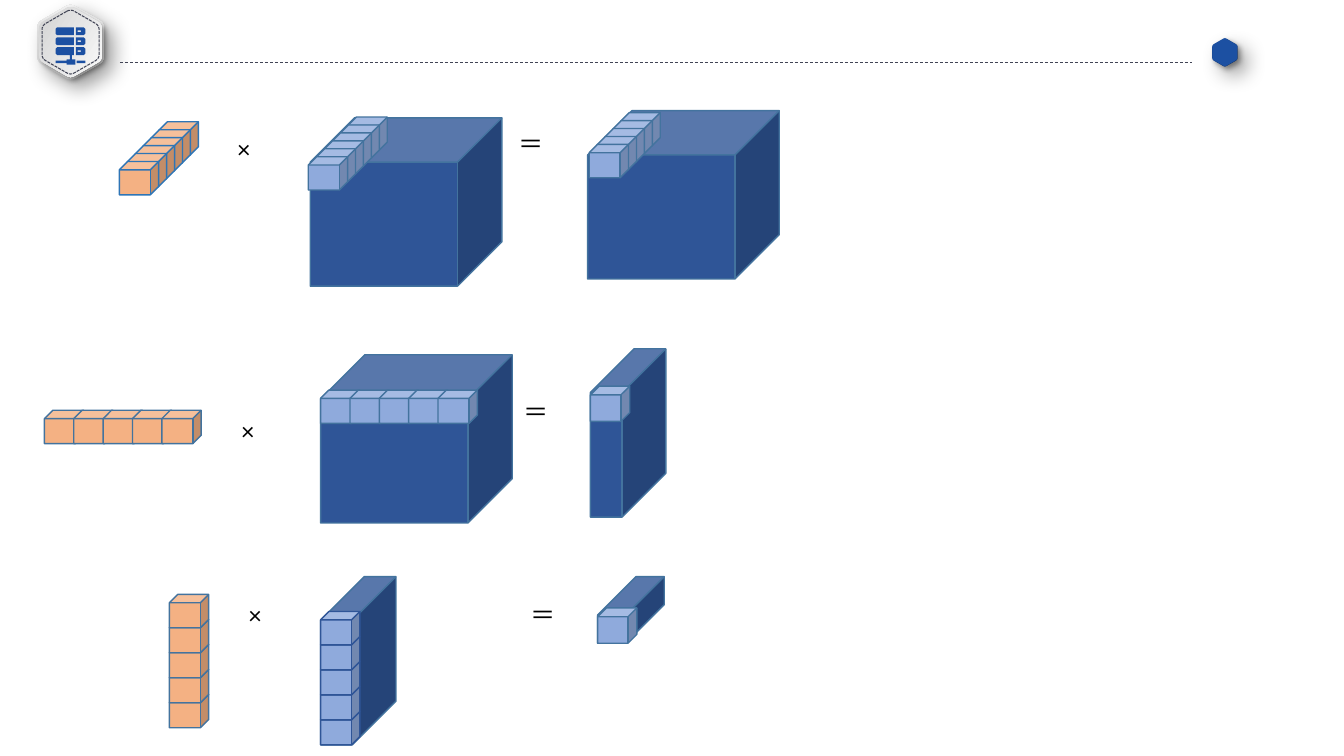
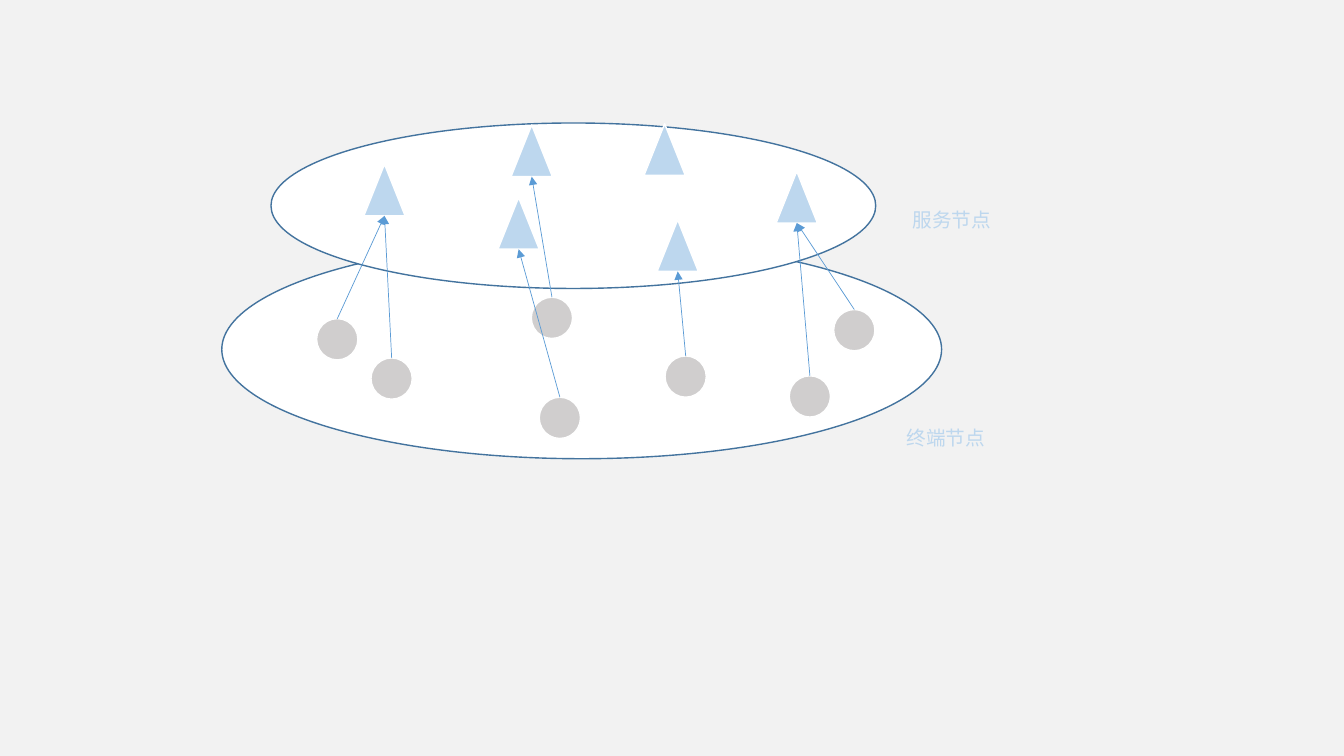
import math

import pptx
import pptx.dml.color
import pptx.enum.dml
import pptx.enum.shapes
import pptx.oxml
import pptx.util
from pptx.oxml.ns import qn

Cm = pptx.util.Cm
Pt = pptx.util.Pt
SHAPE = pptx.enum.shapes.MSO_SHAPE
DASH = pptx.enum.dml.MSO_LINE
A_NS = "http://schemas.openxmlformats.org/drawingml/2006/main"

FONT = "Calibri"
WHITE, BLACK, PALE_GREY = "FFFFFF", "000000", "F2F2F2"
NAVY, EDGE, ORANGE_EDGE = "2F5597", "43739E", "2E75B6"
CELL, ORANGE, BRAND = "8FAADC", "F4B183", "1C50A2"
SKY, ARROW, NODE, DOTS = "BDD7EE", "5B9BD5", "D0CECE", "414455"
METAL = ("D3D3D3", "F9F9F9")


def rgb(value):
    return pptx.dml.color.RGBColor.from_string(value)


def hexagon_points(x, y, half_width, cut=0.13):
    """Outline of a pointy-topped hexagon with rounded corners."""
    radius = half_width / math.cos(math.pi / 6)
    corners = [(x + radius * math.sin(i * math.pi / 3),
                y - radius * math.cos(i * math.pi / 3)) for i in range(6)]
    points = []
    for i, corner in enumerate(corners):
        before, after = corners[i - 1], corners[(i + 1) % 6]
        for t in (0, 0.25, 0.5, 0.75, 1):
            a, b = cut * (1 - t) ** 2, cut * t ** 2
            points.append(tuple(c + a * (p - c) + b * (n - c)
                                for c, p, n in zip(corner, before, after)))
    return points


def box_points(x1, y1, x2, y2, left_cut=0, right_cut=0):
    return [(x1 + left_cut, y1), (x2 - right_cut, y1), (x2, y1 + right_cut),
            (x2, y2 - right_cut), (x2 - right_cut, y2), (x1 + left_cut, y2),
            (x1, y2 - left_cut), (x1, y1 + left_cut)]


class Deck:
    """Holds the style and the slide being drawn; lengths are centimetres."""

    def __init__(self):
        self.prs = pptx.Presentation()
        self.prs.slide_width, self.prs.slide_height = Cm(33.87), Cm(19.05)

    def new_slide(self, background):
        self.slide = self.prs.slides.add_slide(self.prs.slide_layouts[6])
        fill = self.slide.background.fill
        fill.solid()
        fill.fore_color.rgb = rgb(background)

    def paint(self, sp, fill=None, line=None, width=1):
        sp.shadow.inherit = False
        if fill:
            sp.fill.solid()
            sp.fill.fore_color.rgb = rgb(fill)
        else:
            sp.fill.background()
        if line:
            sp.line.color.rgb = rgb(line)
            sp.line.width = Pt(width)
        else:
            sp.line.fill.background()

    def shape(self, kind, x, y, w, h, fill, line, adj=None):
        sp = self.slide.shapes.add_shape(kind, Cm(x), Cm(y), Cm(w), Cm(h))
        self.paint(sp, fill, line)
        if adj is not None:
            sp.adjustments[0] = adj
        return sp

    def cube(self, x, y, w=0.99, h=0.84, fill=CELL, line=EDGE, adj=0.25):
        self.shape(SHAPE.CUBE, x, y, w, h, fill, line, adj)

    def cube_run(self, x, y, dx, dy, count, fill=CELL, line=EDGE):
        for i in range(count):
            self.cube(x + i * dx, y + i * dy, fill=fill, line=line)

    def outline(self, contours, fill=None, line=None, width=1):
        contours = [[(Cm(x), Cm(y)) for x, y in c] for c in contours]
        first, *others = contours
        builder = self.slide.shapes.build_freeform(*first[0], scale=1.0)
        builder.add_line_segments(first[1:], close=True)
        for contour in others:
            builder.move_to(*contour[0])
            builder.add_line_segments(contour[1:], close=True)
        sp = builder.convert_to_shape()
        self.paint(sp, fill, line, width)
        return sp

    def drop_shadow(self, sp, blur, distance):
        effects = sp._element.spPr.find(qn("a:effectLst"))
        effects.append(pptx.oxml.parse_xml(
            f'<a:outerShdw xmlns:a="{A_NS}" blurRad="{Pt(blur)}" '
            f'dist="{Pt(distance)}" dir="2700000" algn="tl" rotWithShape="0">'
            f'<a:srgbClr val="{BLACK}"><a:alpha val="40000"/></a:srgbClr>'
            '</a:outerShdw>'))

    def metal(self, sp, angle):
        sp.fill.gradient()
        sp.fill.gradient_angle = angle
        for stop, color in zip(sp.fill.gradient_stops, METAL):
            stop.color.rgb = rgb(color)

    def text(self, x, y, w, h, words, size, color):
        tf = self.slide.shapes.add_textbox(Cm(x), Cm(y), Cm(w), Cm(h)).text_frame
        tf.word_wrap = False
        p = tf.paragraphs[0]
        p.text = words
        p.font.size = Pt(size)
        p.font.name = FONT
        p.font.color.rgb = rgb(color)

    def line(self, x1, y1, x2, y2, color, dash=None):
        cxn = self.slide.shapes.add_connector(
            pptx.enum.shapes.MSO_CONNECTOR.STRAIGHT, Cm(x1), Cm(y1), Cm(x2), Cm(y2))
        cxn.line.color.rgb = rgb(color)
        cxn.line.width = Pt(0.5)
        if dash:
            cxn.line.dash_style = dash
        cxn._element.spPr.append(
            pptx.oxml.parse_xml(f'<a:effectLst xmlns:a="{A_NS}"/>'))
        return cxn

    def arrow(self, source, target):
        """Arrow from the top of source to the middle of target's base."""
        cxn = self.line(0, 0, 1, 1, ARROW)
        cxn.begin_connect(source, 0)
        cxn.end_x = target.left + target.width // 2
        cxn.end_y = target.top + target.height
        cxn.line._get_or_add_ln().append(
            pptx.oxml.parse_xml(f'<a:tailEnd xmlns:a="{A_NS}" type="triangle"/>'))

    def header(self):
        for half_width, blur, distance, angle in ((0.84, 15, 9, 59), (0.79, 4, 3, 329)):
            sp = self.outline([hexagon_points(1.78, 1.06, half_width)], BRAND)
            self.metal(sp, angle)
            self.drop_shadow(sp, blur, distance)
        sp = self.outline([hexagon_points(1.78, 1.06, 0.72)], line=DOTS, width=0.75)
        sp.line.dash_style = DASH.SQUARE_DOT
        self.line(3.02, 1.57, 30.05, 1.57, DOTS, DASH.DASH)
        for half_width, blur, distance in ((0.32, 15, 9), (0.31, 4, 3)):
            sp = self.outline([hexagon_points(30.87, 1.32, half_width)], BRAND)
            self.drop_shadow(sp, blur, distance)
        self.server_icon()

    def server_icon(self):
        contours = []
        for row in range(3):
            y = 0.69 + row * 0.25
            contours += [box_points(1.4, y, 1.86, y + 0.2, left_cut=0.04),
                         box_points(1.91, y, 2.15, y + 0.2, right_cut=0.04),
                         box_points(1.96, y + 0.08, 2.04, y + 0.12)]
        contours += [box_points(1.76, 1.39, 1.81, 1.5),
                     box_points(1.68, 1.5, 1.9, 1.63),
                     box_points(1.4, 1.53, 1.68, 1.59),
                     box_points(1.93, 1.53, 2.15, 1.59)]
        self.outline(contours, BRAND)


def tensor_slide(deck):
    deck.new_slide(WHITE)
    deck.header()
    block = dict(w=4.83, h=4.24, fill=NAVY, adj=0.263)
    slab = dict(w=1.9, h=4.24, fill=NAVY, adj=0.579)

    deck.cube_run(4.01, 3.07, -0.2, 0.2, 6, ORANGE, ORANGE_EDGE)
    deck.cube(7.82, 2.97, **block)
    deck.cube_run(8.77, 2.95, -0.2, 0.2, 6)
    deck.cube(14.81, 2.79, **block)
    deck.cube_run(15.65, 2.84, -0.2, 0.2, 5)

    deck.cube_run(1.12, 10.34, 0.74, 0, 5, ORANGE)
    deck.cube(8.08, 8.94, **block)
    deck.cube_run(8.08, 9.83, 0.74, 0, 5)
    deck.cube(14.88, 8.79, **slab)
    deck.cube(14.88, 9.73, h=0.89)

    deck.cube_run(4.27, 17.5, 0, -0.63, 5, ORANGE)
    deck.cube(8.08, 14.53, **slab)
    deck.cube_run(8.08, 17.93, 0, -0.63, 5, line=NAVY)
    deck.cube(15.06, 14.53, 1.68, 1.68, NAVY, adj=0.579)
    deck.cube(15.06, 15.32, h=0.89)

    for sign, w, places in (
            ("×", 0.99, ((5.74, 3.23), (5.84, 10.34), (6.02, 14.99))),
            ("＝", 1.14, ((12.83, 3.12), (12.95, 9.86), (13.13, 14.99)))):
        for x, y in places:
            deck.text(x, y, w, 1.02, sign, 18, BLACK)


def network_slide(deck):
    deck.new_slide(PALE_GREY)
    deck.shape(SHAPE.OVAL, 5.59, 6.05, 18.14, 5.51, WHITE, EDGE)
    deck.shape(SHAPE.OVAL, 6.83, 3.1, 15.24, 4.17, WHITE, EDGE)
    servers = [deck.shape(SHAPE.ISOSCELES_TRIANGLE, x, y, 1.04, 1.3, SKY, WHITE)
               for x, y in ((9.17, 4.14), (12.88, 3.15), (12.55, 4.98),
                            (16.23, 3.12), (19.56, 4.32), (16.56, 5.54))]
    # Each terminal: left, top and the index of the server it reports to
    terminals = ((7.98, 8.03, 0), (9.35, 9.02, 0), (19.89, 9.47, 4), (21.01, 7.8, 4),
                 (16.76, 8.97, 5), (13.59, 10.01, 2), (13.39, 7.49, 1))
    links = [(deck.shape(SHAPE.OVAL, x, y, 1.04, 1.04, NODE, WHITE), servers[i])
             for x, y, i in terminals]
    for terminal, server in links:
        deck.arrow(terminal, server)
    deck.text(22.75, 5.11, 2.5, 0.86, "服务节点", 14, SKY)
    deck.text(22.6, 10.6, 2.5, 0.86, "终端节点", 14, SKY)


def main():
    deck = Deck()
    tensor_slide(deck)
    network_slide(deck)
    deck.prs.save("out.pptx")


if __name__ == "__main__":
    main()
